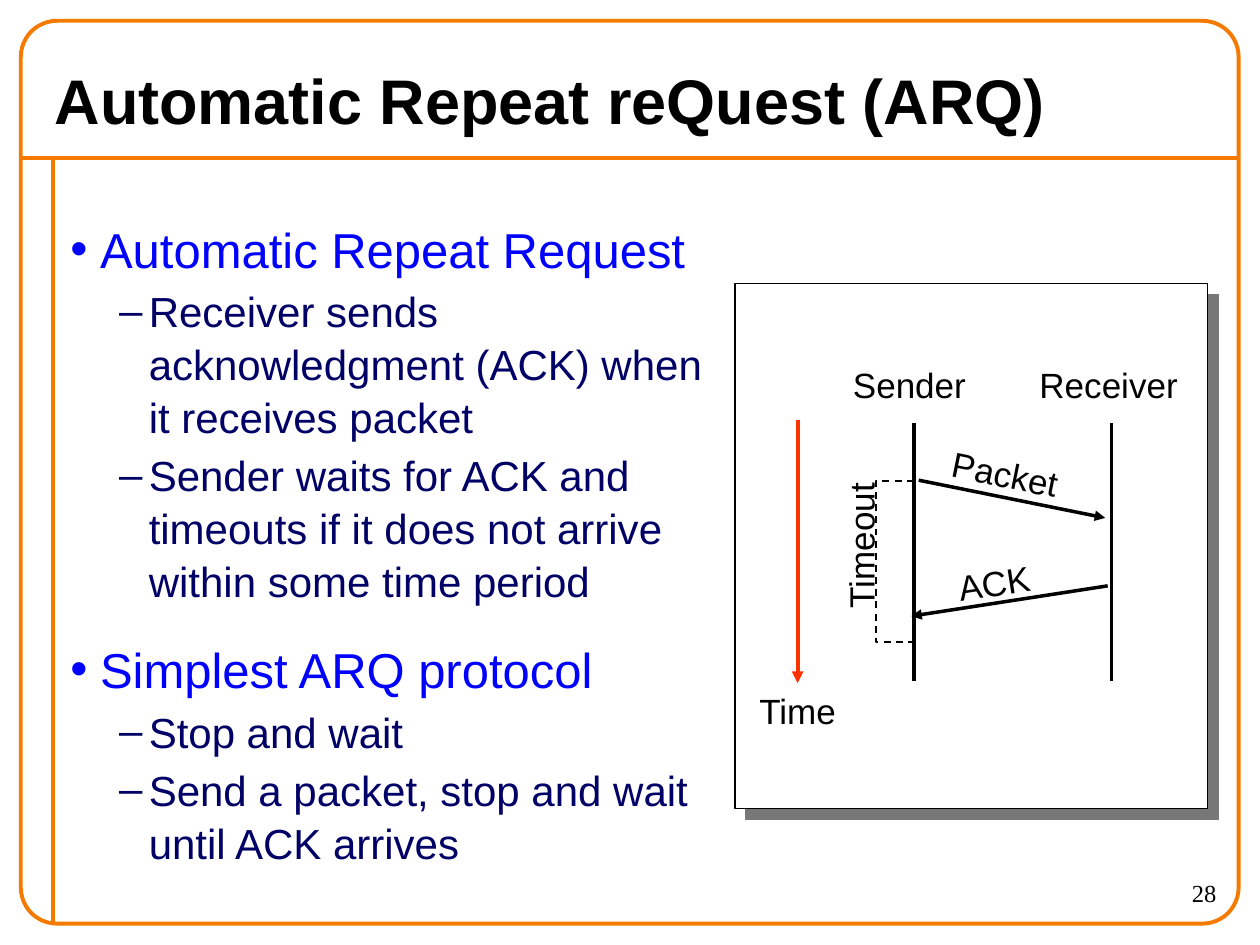
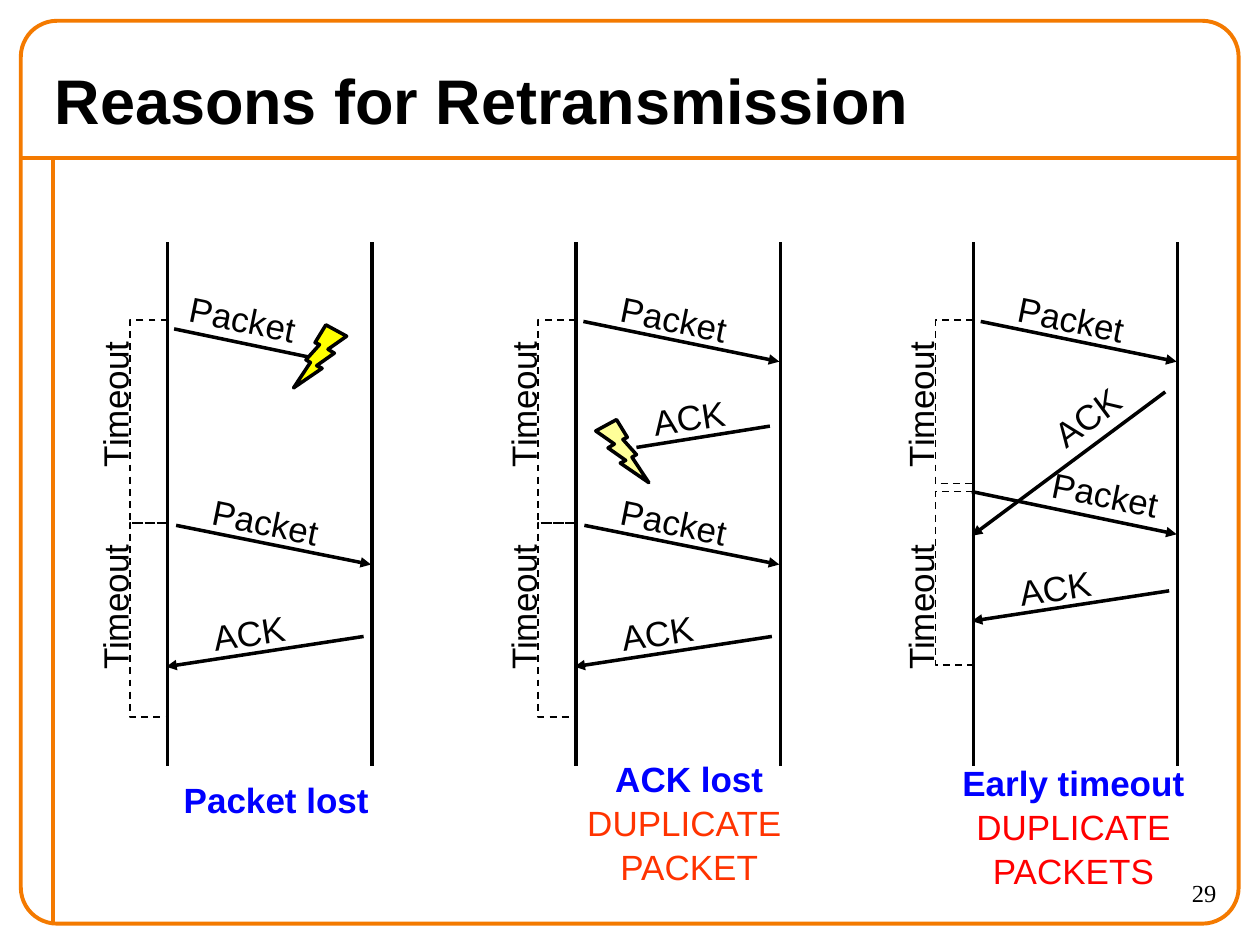
from dataclasses import dataclass

from lxml.etree import SubElement
from pptx import Presentation
from pptx.dml.color import RGBColor
from pptx.enum.dml import MSO_LINE
from pptx.enum.shapes import MSO_CONNECTOR, MSO_SHAPE
from pptx.enum.text import MSO_ANCHOR, PP_ALIGN
from pptx.oxml.ns import qn
from pptx.util import Cm, Pt


@dataclass(frozen=True)
class Theme:
    black: str = "000000"
    white: str = "FFFFFF"
    orange: str = "F47A00"
    blue: str = "0000FF"
    navy: str = "000066"
    red: str = "FF0000"
    vermilion: str = "FF3300"
    yellow: str = "FFFF00"
    pale_yellow: str = "FFFF99"
    shadow: str = "777777"
    font: str = "Arial"
    number_font: str = "Times New Roman"
    title_size: int = 36
    heading_size: int = 28
    body_size: int = 24
    label_size: int = 20
    number_size: int = 14
    line_spacing: float = 1.05


theme = Theme()


def write(page, text, left, top, width, height, size=theme.label_size, colors=(theme.black,),
          bold=False, font=theme.font, align=PP_ALIGN.CENTER, anchor=MSO_ANCHOR.MIDDLE,
          wrap=False, rotation=0):
    """Add a text box; colors holds one colour per paragraph, and bold affects the first."""
    box = page.shapes.add_textbox(Cm(left), Cm(top), Cm(width), Cm(height))
    box.rotation = rotation
    frame = box.text_frame
    frame.word_wrap = wrap
    frame.vertical_anchor = anchor
    frame.text = text
    for index, (paragraph, color) in enumerate(zip(frame.paragraphs, colors)):
        paragraph.alignment = align
        for span in paragraph.runs:
            span.font.name = font
            span.font.size = Pt(size)
            span.font.bold = bold and index == 0
            span.font.color.rgb = RGBColor.from_string(color)
    return box


def draw_line(page, start_x, start_y, end_x, end_y, color=theme.black, width=2, arrow=False):
    line = page.shapes.add_connector(
        MSO_CONNECTOR.STRAIGHT, Cm(start_x), Cm(start_y), Cm(end_x), Cm(end_y))
    line.line.color.rgb = RGBColor.from_string(color)
    line.line.width = Pt(width)
    if arrow:
        SubElement(line.line._get_or_add_ln(), qn("a:tailEnd"), type="triangle")
    SubElement(line._element.spPr, qn("a:effectLst"))


deck = Presentation()
deck.slide_width, deck.slide_height = Cm(25.4), Cm(19.05)

# Shared frame, title and page number
pages = []
for number, title in ((28, "Automatic Repeat reQuest (ARQ)"), (29, "Reasons for Retransmission")):
    page = deck.slides.add_slide(deck.slide_layouts[6])
    draw_line(page, 0.42, 3.18, 24.98, 3.18, theme.orange, 2.25)
    draw_line(page, 1.06, 3.18, 1.06, 18.62, theme.orange, 2.25)
    border = page.shapes.add_shape(
        MSO_SHAPE.ROUNDED_RECTANGLE, Cm(0.42), Cm(0.42), Cm(24.55), Cm(18.2))
    border.adjustments[0] = 0.04
    border.shadow.inherit = False
    border.fill.background()
    border.line.color.rgb = RGBColor.from_string(theme.orange)
    border.line.width = Pt(2.25)
    write(page, str(number), 22.23, 17.57, 2.54, 1.06, theme.number_size, font=theme.number_font,
          align=PP_ALIGN.RIGHT, anchor=MSO_ANCHOR.TOP, wrap=True)
    write(page, title, 0.85, 1.06, 22.4, 1.9, theme.title_size, bold=True,
          align=PP_ALIGN.LEFT, wrap=True)
    pages.append(page)
protocol_page, reasons_page = pages

# Bullet text on the protocol page
outline = (
    (0, "Automatic Repeat Request"),
    (1, "Receiver sends acknowledgment (ACK) when it receives packet"),
    (1, "Sender waits for ACK and timeouts if it does not arrive within some time period"),
    (0, "Simplest ARQ protocol"),
    (1, "Stop and wait"),
    (1, "Send a packet, stop and wait until ACK arrives"),
)
# Per level: bullet, colour, size, left margin, space before
levels = (
    ("•", theme.blue, theme.heading_size, 0.6, 17.5),
    ("–", theme.navy, theme.body_size, 1.58, 3),
)
body = write(protocol_page, "\n".join(text for _, text in outline), 1.17, 4.24, 13.36, 12.9,
             colors=[levels[level][1] for level, _ in outline],
             align=PP_ALIGN.LEFT, anchor=MSO_ANCHOR.TOP, wrap=True)
for index, (paragraph, (level, _)) in enumerate(zip(body.text_frame.paragraphs, outline)):
    bullet, color, size, margin, space = levels[level]
    properties = paragraph._p.get_or_add_pPr()
    properties.set("marL", str(Cm(margin)))
    properties.set("indent", str(-Cm(0.6)))
    bullet_color = SubElement(properties, qn("a:buClr"))
    SubElement(bullet_color, qn("a:srgbClr"), val=color)
    SubElement(properties, qn("a:buFont"), typeface=theme.font)
    SubElement(properties, qn("a:buChar"), char=bullet)
    paragraph.level = level
    paragraph.line_spacing = theme.line_spacing
    paragraph.space_before = Pt(space if index else 0)
    for span in paragraph.runs:
        span.font.size = Pt(size)

# Panel behind the protocol diagram
panel = protocol_page.shapes.add_shape(
    MSO_SHAPE.RECTANGLE, Cm(14.82), Cm(5.72), Cm(9.53), Cm(10.58))
panel.fill.solid()
panel.fill.fore_color.rgb = RGBColor.from_string(theme.white)
panel.line.color.rgb = RGBColor.from_string(theme.black)
panel.line.width = Pt(0.75)
panel.shadow.inherit = False
shadow = SubElement(panel._element.spPr.find(qn("a:effectLst")), qn("a:outerShdw"),
                    dist=str(Pt(8.5)), dir="2700000", algn="ctr", rotWithShape="0")
SubElement(shadow, qn("a:srgbClr"), val=theme.shadow)

# Time axis and headings of the protocol diagram
draw_line(protocol_page, 16.08, 8.46, 16.08, 13.77, theme.vermilion, 2.25, arrow=True)
for text, left, top, width in (
        ("Time", 15.04, 13.77, 2.08), ("Sender", 16.94, 7.19, 2.79), ("Receiver", 20.7, 7.19, 3.3)):
    write(protocol_page, text, left, top, width, 1.12)

# Messages: text, start, end, label corner, label rotation, arrow; x counts from the sender
packet_tilt, ack_tilt, late_ack_tilt = 11.5, -8.8, -36.6
first_packet = ("Packet", 0.15, 6.48, 4.1, 7.29, 0.64, 5.87, packet_tilt, True)
retry = [
    ("Packet", 0.17, 10.59, 4.1, 11.38, 0.64, 9.96, packet_tilt, True),
    ("ACK", 3.95, 12.83, -0.03, 13.44, 0.66, 12.19, ack_tilt, True),
]
simple_messages = [
    ("Packet", 0.1, 9.68, 3.86, 10.44, 0.51, 8.99, packet_tilt, True),
    ("ACK", 3.91, 11.81, -0.05, 12.42, 0.64, 11.18, ack_tilt, True),
]
packet_lost = [("Packet", 0.13, 6.63, 3.05, 7.24, 0.18, 5.87, packet_tilt, False), *retry]
ack_lost = [
    first_packet,
    ("ACK", 3.91, 8.59, 1.22, 9.02, 1.3, 7.85, ack_tilt, False),
    *retry,
]
early_timeout = [
    first_packet,
    ("ACK", 3.87, 7.9, -0.03, 10.8, 1.31, 7.85, late_ack_tilt, True),
    ("Packet", -0.03, 9.91, 4.1, 10.77, 1.33, 9.4, packet_tilt, True),
    ("ACK", 3.95, 11.91, -0.03, 12.52, 0.67, 11.28, ack_tilt, True),
]
label_widths = {"Packet": 2.67, "ACK": 1.96}

# Timeouts: top, bottom, middle of the label
two_timeouts = [(6.45, 10.54, 8.15), (10.54, 14.45, 12.24)]
early_timeouts = [(6.45, 9.75, 8.15), (9.91, 13.41, 12.24)]

# Exchanges: page, sender x, distance to receiver, top, bottom, messages, timeouts
exchanges = (
    (protocol_page, 18.42, 3.99, 8.53, 13.72, simple_messages, [(9.7, 12.95, 11)]),
    (reasons_page, 3.38, 4.12, 4.88, 15.44, packet_lost, two_timeouts),
    (reasons_page, 11.61, 4.12, 4.88, 15.44, ack_lost, two_timeouts),
    (reasons_page, 19.62, 4.12, 4.88, 15.44, early_timeout, early_timeouts),
)
bracket_depth = 0.76
for page, sender, distance, top, bottom, messages, timeouts in exchanges:
    for start, end, middle in timeouts:
        outer = Cm(sender - bracket_depth)
        builder = page.shapes.build_freeform(Cm(sender), Cm(start))
        builder.add_line_segments(
            [(outer, Cm(start)), (outer, Cm(end)), (Cm(sender), Cm(end))], close=False)
        bracket = builder.convert_to_shape()
        bracket.shadow.inherit = False
        bracket.fill.background()
        bracket.line.color.rgb = RGBColor.from_string(theme.black)
        bracket.line.width = Pt(1)
        bracket.line.dash_style = MSO_LINE.DASH
        write(page, "Timeout", sender - 2.76, middle - 0.56, 3.38, 1.12, wrap=True, rotation=270)
    for text, start_x, start_y, end_x, end_y, label_x, label_y, tilt, arrow in messages:
        draw_line(page, sender + start_x, start_y, sender + end_x, end_y, arrow=arrow)
        write(page, text, sender + label_x, label_y, label_widths[text], 1.12, rotation=tilt)
    for lifeline in (sender, sender + distance):
        draw_line(page, lifeline, top, lifeline, bottom)

# Lightning bolts where a message is lost
for left, top, color, flipped in (
        (5.92, 6.55, theme.yellow, True), (12.01, 8.46, theme.pale_yellow, False)):
    bolt = reasons_page.shapes.add_shape(
        MSO_SHAPE.LIGHTNING_BOLT, Cm(left), Cm(top), Cm(1.07), Cm(1.27))
    bolt.shadow.inherit = False
    bolt.fill.solid()
    bolt.fill.fore_color.rgb = RGBColor.from_string(color)
    bolt.line.color.rgb = RGBColor.from_string(theme.black)
    bolt.line.width = Pt(2)
    if flipped:
        bolt._element.spPr.xfrm.set("flipH", "1")

# Captions below the exchanges
for text, left, top, width, height, note_color in (
        ("Packet lost", 3.45, 15.54, 4.24, 1.12, theme.black),
        ("ACK lost\nDUPLICATE \vPACKET", 11.56, 15.16, 4.67, 2.79, theme.vermilion),
        ("Early timeout\nDUPLICATE\vPACKETS", 19.15, 15.24, 4.98, 2.79, theme.red)):
    caption = write(reasons_page, text, left, top, width, height,
                    colors=(theme.blue, note_color), bold=True)
    for paragraph in caption.text_frame.paragraphs:
        paragraph.line_spacing = theme.line_spacing

deck.save("out.pptx")
